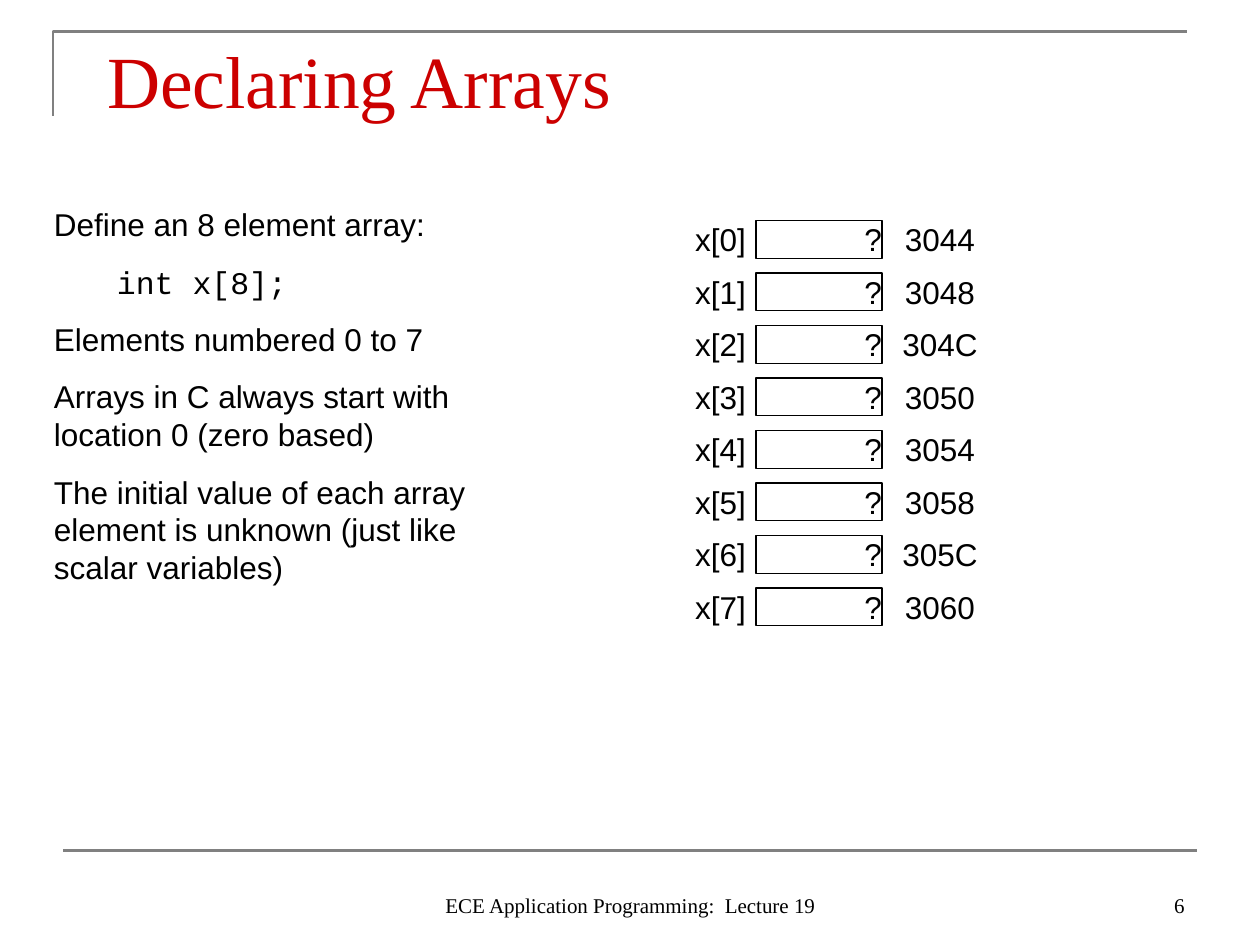
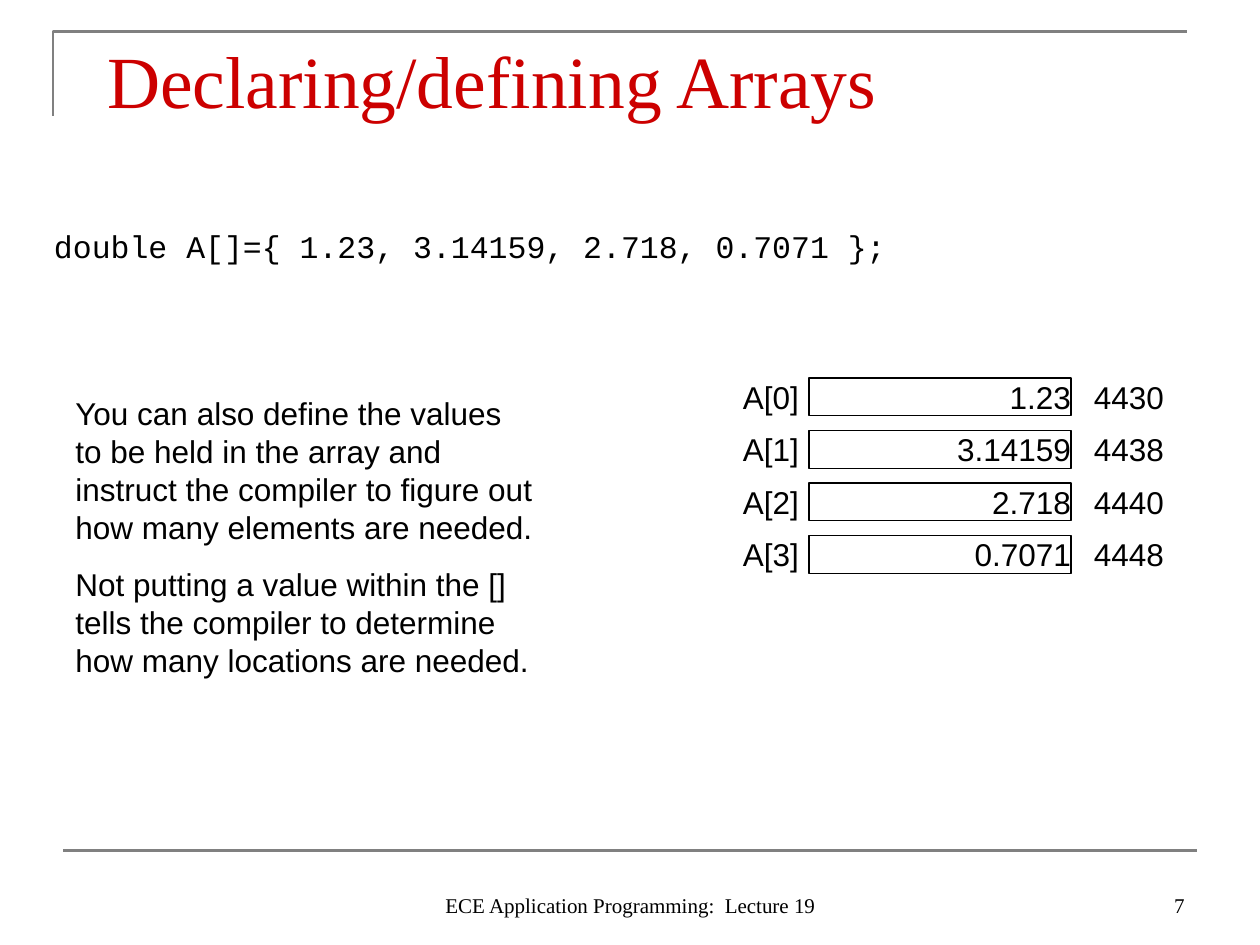
from lxml import etree
from pptx import Presentation
from pptx.dml.color import RGBColor
from pptx.enum.shapes import MSO_CONNECTOR, MSO_SHAPE
from pptx.enum.text import MSO_ANCHOR, MSO_AUTO_SIZE, PP_ALIGN
from pptx.oxml.ns import qn
from pptx.util import Inches, Pt

LEFT, MID, RIGHT = PP_ALIGN.LEFT, PP_ALIGN.CENTER, PP_ALIGN.RIGHT
TOP, LOW = MSO_ANCHOR.TOP, MSO_ANCHOR.BOTTOM
FIXED = MSO_AUTO_SIZE.NONE
RECT, LINE = MSO_SHAPE.RECTANGLE, MSO_CONNECTOR.STRAIGHT
HEX = {"ink": "000000", "title": "CC0000", "rule": "808080"}
SANS, MONO, SERIF = "Arial", "Courier New", "Times New Roman"
FOOT = "ECE Application Programming:  Lecture 19"
PITCH = 5 / 12
ROW = 0.3
SIDE = 0.92


def tint(name):
    """Return a named colour."""
    return RGBColor.from_string(HEX[name])


def stroke(shape, name, width):
    """Set the line of a shape."""
    shape.line.color.rgb = tint(name)
    shape.line.width = Pt(width)


def style(para, face, size, color="ink", align=LEFT):
    """Format one paragraph and its runs."""
    para.alignment = align
    for run in para.runs:
        run.font.name = face
        run.font.size = Pt(size)
        run.font.color.rgb = tint(color)


def fill(shape, lines, size=18, align=LEFT, anchor=TOP, pad=(0.1, 0.05)):
    """Write (text, face) lines into a shape."""
    frame = shape.text_frame
    frame.word_wrap = True
    frame.auto_size = FIXED
    frame.vertical_anchor = anchor
    frame.margin_left = frame.margin_right = Inches(pad[0])
    frame.margin_top = frame.margin_bottom = Inches(pad[1])
    for i, (text, face) in enumerate(lines):
        para = frame.add_paragraph() if i else frame.paragraphs[0]
        para.text = text
        if i:
            para.space_before = Pt(11.2)
        style(para, face, size, align=align)


def add_text(slide, box, lines, **look):
    """Add a text box."""
    fill(slide.shapes.add_textbox(*map(Inches, box)), lines, **look)


def add_cell(slide, box, text):
    """Add an outlined memory cell."""
    cell = slide.shapes.add_shape(RECT, *map(Inches, box))
    cell.shadow.inherit = False
    cell.fill.background()
    stroke(cell, "ink", 0.75)
    fill(cell, [(text, SANS)], align=RIGHT, pad=(0, 0))


def add_array(slide, left, top, width, name, values, start, step):
    """Draw an array as rows of label, cell and hex address."""
    cell = left + 1
    for i, value in enumerate(values):
        y = top + i * PITCH
        add_text(slide, (left, y, SIDE, ROW), [(f"{name}[{i}]", SANS)],
                 align=RIGHT, pad=(0, 0))
        add_cell(slide, (cell, y, width, ROW), value)
        add_text(slide, (cell + width, y, SIDE, ROW),
                 [(f"{start + i * step:X}", SANS)], align=MID, pad=(0, 0))


def add_rules(slide):
    """Draw the corner rule and the foot rule."""
    pen = slide.shapes.build_freeform(Inches(0.42), Inches(0.92))
    pen.add_line_segments([(Inches(0.42), Inches(0.25)),
                           (Inches(9.42), Inches(0.25))], close=False)
    corner = pen.convert_to_shape()
    corner.shadow.inherit = False
    corner.fill.background()
    stroke(corner, "rule", 1.5)
    ends = map(Inches, (0.5, 6.75, 9.5, 6.75))
    base = slide.shapes.add_connector(LINE, *ends)
    stroke(base, "rule", 1.5)
    etree.SubElement(base._element.spPr, qn("a:effectLst"))


def add_title(slide, text):
    """Place and format the title."""
    title = slide.shapes.title
    title.left, title.top = Inches(0.75), Inches(0.17)
    title.width, title.height = Inches(8.5), Inches(0.58)
    frame = title.text_frame
    frame.text = text
    frame.auto_size = FIXED
    frame.vertical_anchor = TOP
    frame.margin_top = Inches(0.11)
    frame.margin_bottom = 0
    style(frame.paragraphs[0], SERIF, 42, "title")


def add_page(deck, title, number):
    """Add a slide with its title, rules and footer."""
    slide = deck.slides.add_slide(deck.slide_layouts[5])
    add_rules(slide)
    add_title(slide, title)
    add_text(slide, (7.17, 6.83, 2.33, 0.5), [(str(number), SERIF)],
             size=12, align=RIGHT, anchor=LOW)
    add_text(slide, (3.42, 6.83, 3.17, 0.5), [(FOOT, SERIF)],
             size=12, align=MID, anchor=LOW)
    return slide


def main():
    """Build the deck."""
    deck = Presentation()
    deck.slide_width, deck.slide_height = Inches(10), Inches(7.5)

    slide = add_page(deck, "Declaring Arrays", 6)
    add_array(slide, 5, 1.75, 1, "x", ["?"] * 8, 0x3044, 4)
    add_text(slide, (0.33, 1.58, 3.83, 3.13), [
        ("Define an 8 element array:", SANS),
        ("\tint x[8];", MONO),
        ("Elements numbered 0 to 7", SANS),
        ("Arrays in C always start with location 0 (zero based)", SANS),
        ("The initial value of each array element is unknown "
         "(just like scalar variables)", SANS),
    ])

    slide = add_page(deck, "Declaring/defining Arrays", 7)
    values = ["1.23", "3.14159", "2.718", "0.7071"]
    add_array(slide, 5.42, 3, 2.08, "A", values, 0x4430, 8)
    add_text(slide, (0.5, 3.08, 3.83, 2.36), [
        ("You can also define the values to be held in the array and "
         "instruct the compiler to figure out how many elements are "
         "needed.", SANS),
        ("Not putting a value within the [] tells the compiler to "
         "determine how many locations are needed.", SANS),
    ])
    code = "double A[]={ " + ", ".join(values) + " };"
    add_text(slide, (0.33, 1.75, 9.08, 0.4), [(code, MONO)])

    deck.save("out.pptx")


if __name__ == "__main__":
    main()
